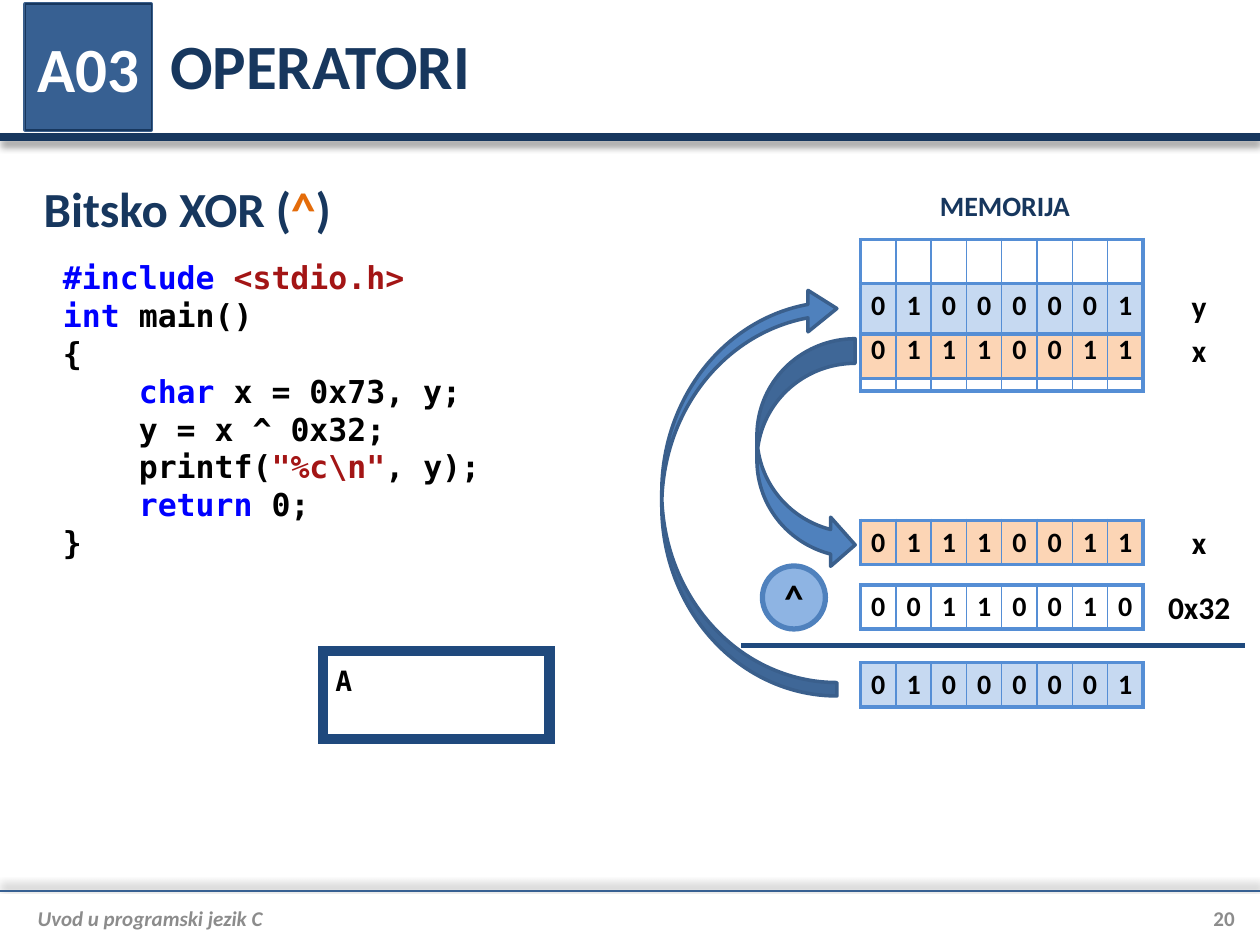
from dataclasses import dataclass

from lxml import etree
from pptx import Presentation
from pptx.dml.color import RGBColor
from pptx.enum.shapes import MSO_CONNECTOR, MSO_SHAPE
from pptx.enum.text import MSO_ANCHOR, PP_ALIGN
from pptx.oxml.ns import qn
from pptx.util import Cm, Pt

LEFT, CENTER, RIGHT = PP_ALIGN.LEFT, PP_ALIGN.CENTER, PP_ALIGN.RIGHT
TOP, MIDDLE = MSO_ANCHOR.TOP, MSO_ANCHOR.MIDDLE
DEFAULT_INSETS, NO_INSETS = (0.25, 0.13, 0.25, 0.13), (0, 0, 0, 0)
PLAIN_TABLE_STYLE = "{2D5ABB26-0587-4C30-8999-92F81FD0307C}"


@dataclass(frozen=True)
class Theme:
    font: str = "Calibri"
    code_font: str = "DejaVu Sans Mono"
    navy: str = "17375E"
    steel: str = "376092"
    dark_blue: str = "1F497D"
    blue: str = "4F81BD"
    edge: str = "3A5F8C"
    light_blue: str = "8EB4E3"
    grid: str = "558ED5"
    x_fill: str = "FCD5B5"
    y_fill: str = "C6D9F1"
    orange: str = "E46C0A"
    keyword: str = "0000FF"
    literal: str = "A31515"
    black: str = "000000"
    white: str = "FFFFFF"
    gray: str = "8C8C8C"
    title_size: int = 36
    heading_size: int = 28
    operator_size: int = 22
    text_size: int = 18
    bit_size: int = 16
    footer_size: int = 12


THEME = Theme()
BITS, BITS_LEFT, BITS_WIDTH, ROW_HEIGHT = 8, 17.35, 5.69, 0.89
MEMORY_TOP = 4.83
Y_TOP, X_TOP = MEMORY_TOP + ROW_HEIGHT, MEMORY_TOP + 2 * ROW_HEIGHT
OPERAND_TOP, MASK_TOP, RESULT_TOP = 10.49, 11.79, 13.36
X_BITS, MASK_BITS, Y_BITS = "01110011", "00110010", "01000001"

CODE = [
    [("#include", THEME.keyword), " ", ("<stdio.h>", THEME.literal)],
    [("int", THEME.keyword), " main()"],
    ["{"],
    [("    char", THEME.keyword), " x = 0x73, y;"],
    ["    y = x ^ 0x32;"],
    ["    printf(", ('"%c\\n"', THEME.literal), ", y);"],
    [("    return", THEME.keyword), " 0;"],
    ["}"],
]


def rgb(color):
    return RGBColor.from_string(color)


def write(frame, lines, size=THEME.text_size, color=THEME.black, font=THEME.font,
          align=LEFT, anchor=MIDDLE, insets=DEFAULT_INSETS, italic=False):
    """Fill a frame; a line is a list of plain strings and (text, colour) pairs."""
    frame.word_wrap = True
    frame.vertical_anchor = anchor
    (frame.margin_left, frame.margin_top,
     frame.margin_right, frame.margin_bottom) = map(Cm, insets)
    for index, line in enumerate(lines):
        para = frame.add_paragraph() if index else frame.paragraphs[0]
        para.alignment = align
        para.space_before = Pt(0)
        for part in line:
            text, span_color = part if isinstance(part, tuple) else (part, color)
            span = para.add_run()
            span.text = text
            span.font.name, span.font.size = font, Pt(size)
            span.font.bold, span.font.italic = True, italic
            span.font.color.rgb = rgb(span_color)


def add_text(page, area, lines, **text_format):
    write(page.shapes.add_textbox(*map(Cm, area)).text_frame, lines, **text_format)


def paint(shape, fill, line, weight):
    shape.fill.solid()
    shape.fill.fore_color.rgb = rgb(fill)
    shape.line.color.rgb = rgb(line)
    shape.line.width = Pt(weight)


def add_figure(page, kind, area, fill, line, weight):
    figure = page.shapes.add_shape(kind, *map(Cm, area))
    figure.shadow.inherit = False
    paint(figure, fill, line, weight)
    return figure


def add_rule(page, left, right, y, color, weight, shadow_angle=None):
    rule = page.shapes.add_connector(
        MSO_CONNECTOR.STRAIGHT, Cm(left), Cm(y), Cm(right), Cm(y))
    rule.line.color.rgb = rgb(color)
    rule.line.width = Pt(weight)
    effects = etree.SubElement(rule._element.spPr, qn("a:effectLst"))
    if shadow_angle is not None:
        shadow = etree.SubElement(
            effects, qn("a:outerShdw"), blurRad=str(Pt(4)), dist=str(Pt(3)),
            dir=str(shadow_angle * 60000), rotWithShape="0")
        shade = etree.SubElement(shadow, qn("a:srgbClr"), val=THEME.black)
        etree.SubElement(shade, qn("a:alpha"), val="40000")


def set_borders(cell, column):
    weights = {"L": 1 if column else 2.25, "R": 1 if column < BITS - 1 else 2.25,
               "T": 2.25, "B": 2.25}
    for side, weight in weights.items():
        border = etree.SubElement(cell._tc.get_or_add_tcPr(), qn(f"a:ln{side}"),
                                  w=str(Pt(weight)))
        fill = etree.SubElement(border, qn("a:solidFill"))
        etree.SubElement(fill, qn("a:srgbClr"), val=THEME.grid)


def add_bits(page, top, bits="", fill=None, rows=1, bordered=True):
    """Draw a grid of bit cells; without bits the cells stay empty."""
    table = page.shapes.add_table(
        rows, BITS, Cm(BITS_LEFT), Cm(top), Cm(BITS_WIDTH), Cm(ROW_HEIGHT * rows)).table
    table.first_row = table.horz_banding = False
    table._tbl.tblPr.find(qn("a:tableStyleId")).text = PLAIN_TABLE_STYLE
    for index, cell in enumerate(table.iter_cells()):
        if bordered:
            set_borders(cell, index % BITS)
        if fill:
            cell.fill.solid()
            cell.fill.fore_color.rgb = rgb(fill)
        else:
            cell.fill.background()
        if bits:
            cell.vertical_anchor = MIDDLE
            cell.margin_left = cell.margin_right = 0
            cell.margin_top = cell.margin_bottom = 0
            write(cell.text_frame, [[bits[index]]], size=THEME.bit_size, align=CENTER,
                  insets=NO_INSETS)


def add_header(page):
    add_rule(page, 0, 25.4, 2.77, THEME.navy, 4.5, shadow_angle=90)
    badge = add_figure(page, MSO_SHAPE.RECTANGLE, (0.51, 0.08, 2.54, 2.54),
                       THEME.blue, THEME.edge, 2)
    page.shapes._spTree.insert(2, badge._element)  # behind the chapter number
    title, chapter = page.shapes.title, page.placeholders[1]
    title.left, title.top, title.width, title.height = map(Cm, (3.18, 0.03, 21.72, 2.54))
    write(title.text_frame, [["OPERATORI"]], size=THEME.title_size, color=THEME.navy)
    chapter.left, chapter.top = badge.left, badge.top
    chapter.width, chapter.height = badge.width, badge.height
    paint(chapter, THEME.steel, THEME.navy, 0.75)
    properties = chapter.text_frame.paragraphs[0]._p.get_or_add_pPr()
    properties.set("marL", "0")
    properties.set("indent", "0")
    etree.SubElement(properties, qn("a:buNone"))
    write(chapter.text_frame, [["A03"]], size=THEME.title_size, color=THEME.white,
          align=CENTER, insets=NO_INSETS)


def add_footer(page):
    add_rule(page, 0, 25.4, 17.96, THEME.steel, 1.5, shadow_angle=270)
    footer = {"size": THEME.footer_size, "color": THEME.gray}
    add_text(page, (0.51, 18.06, 23.11, 0.89), [["Uvod u programski jezik C"]],
             insets=(0.25, 0, 0, 0), italic=True, **footer)
    add_text(page, (23.62, 18.06, 1.27, 0.89), [["20"]],
             insets=NO_INSETS, align=RIGHT, **footer)


def add_program(page):
    add_text(page, (0.63, 3.56, 22.53, 1.27), [["Bitsko XOR (", ("^", THEME.orange), ")"]],
             size=THEME.heading_size, color=THEME.navy)
    add_text(page, (1.02, 5.08, 12.7, 6.4), CODE, font=THEME.code_font, anchor=TOP)
    console = add_figure(page, MSO_SHAPE.RECTANGLE, (6.51, 13.12, 4.57, 1.78),
                         THEME.white, THEME.dark_blue, 6)
    etree.SubElement(console.line._get_or_add_ln(), qn("a:miter"), lim="800000")
    write(console.text_frame, [["A"]], size=THEME.bit_size, font=THEME.code_font,
          anchor=TOP, insets=(0.25,) * 4)


def add_memory(page):
    add_text(page, (18.37, 3.68, 3.78, 0.94), [["MEMORIJA"]], size=THEME.bit_size,
             color=THEME.navy, align=CENTER, anchor=TOP)
    add_bits(page, MEMORY_TOP, rows=3)
    for top, bits, fill in ((X_TOP, X_BITS, THEME.x_fill), (Y_TOP, Y_BITS, THEME.y_fill)):
        add_bits(page, top, fill=fill)
        add_bits(page, top, bits, bordered=False)
    add_bits(page, OPERAND_TOP, X_BITS, THEME.x_fill)
    add_bits(page, MASK_TOP, MASK_BITS)
    add_bits(page, RESULT_TOP, Y_BITS, THEME.y_fill)
    for top, label in ((X_TOP, "x"), (Y_TOP, "y"), (OPERAND_TOP, "x"), (MASK_TOP, "0x32")):
        add_text(page, (23.16, top, 2.03, ROW_HEIGHT), [[label]], align=CENTER)
    add_figure(page, MSO_SHAPE.CURVED_RIGHT_ARROW, (15.26, 6.83, 1.98, 4.65),
               THEME.blue, THEME.edge, 2)
    operator = add_figure(page, MSO_SHAPE.OVAL, (15.37, 11.41, 1.27, 1.27),
                          THEME.light_blue, THEME.blue, 3)
    write(operator.text_frame, [["^"]], size=THEME.operator_size, align=CENTER,
          insets=NO_INSETS)
    add_rule(page, 14.94, 25.1, 13.01, THEME.dark_blue, 3)
    store = add_figure(page, MSO_SHAPE.CURVED_LEFT_ARROW, (13.34, 5.8, 3.53, 8.23),
                       THEME.blue, THEME.edge, 2)
    store.rotation = 180
    for index, value in enumerate((0.077, 0.237, 0.165)):
        store.adjustments[index] = value


def main():
    deck = Presentation()
    deck.slide_width, deck.slide_height = Cm(25.4), Cm(19.05)
    page = deck.slides.add_slide(deck.slide_layouts[1])
    for add_part in (add_header, add_footer, add_program, add_memory):
        add_part(page)
    deck.save("out.pptx")


if __name__ == "__main__":
    main()
